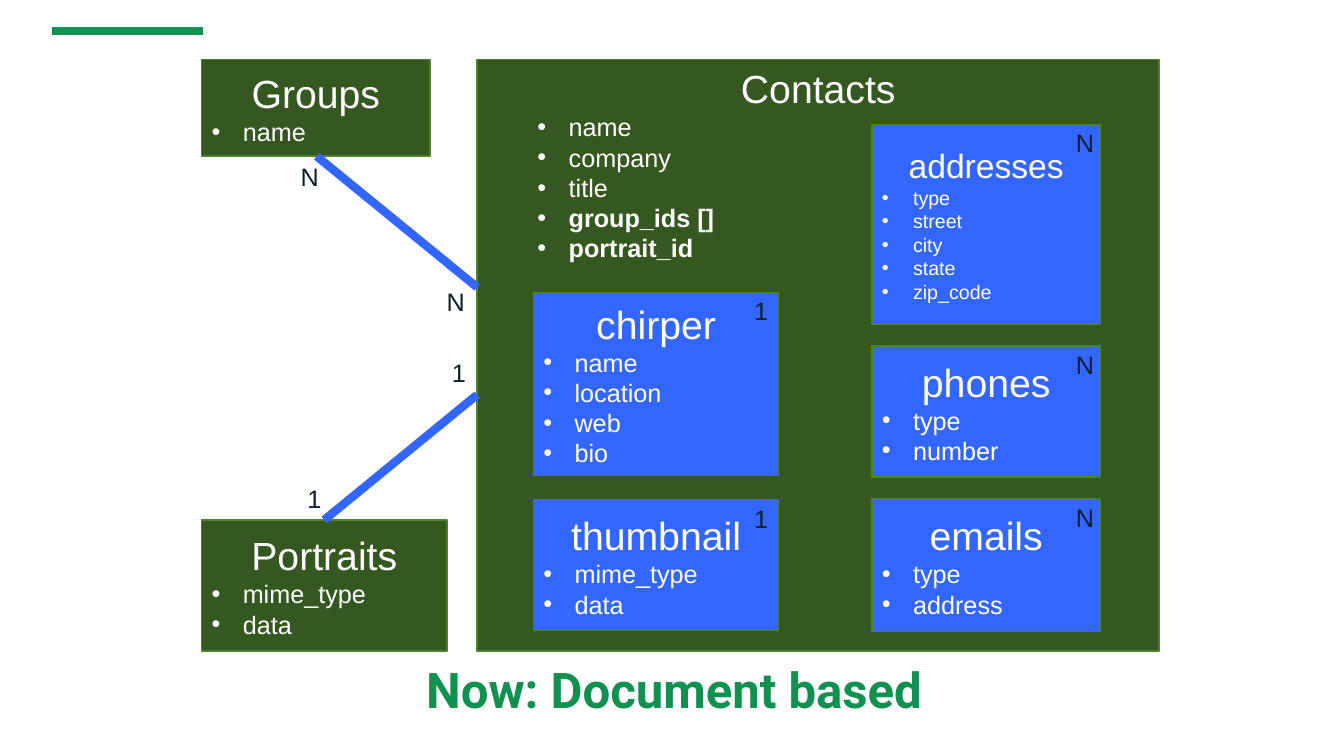
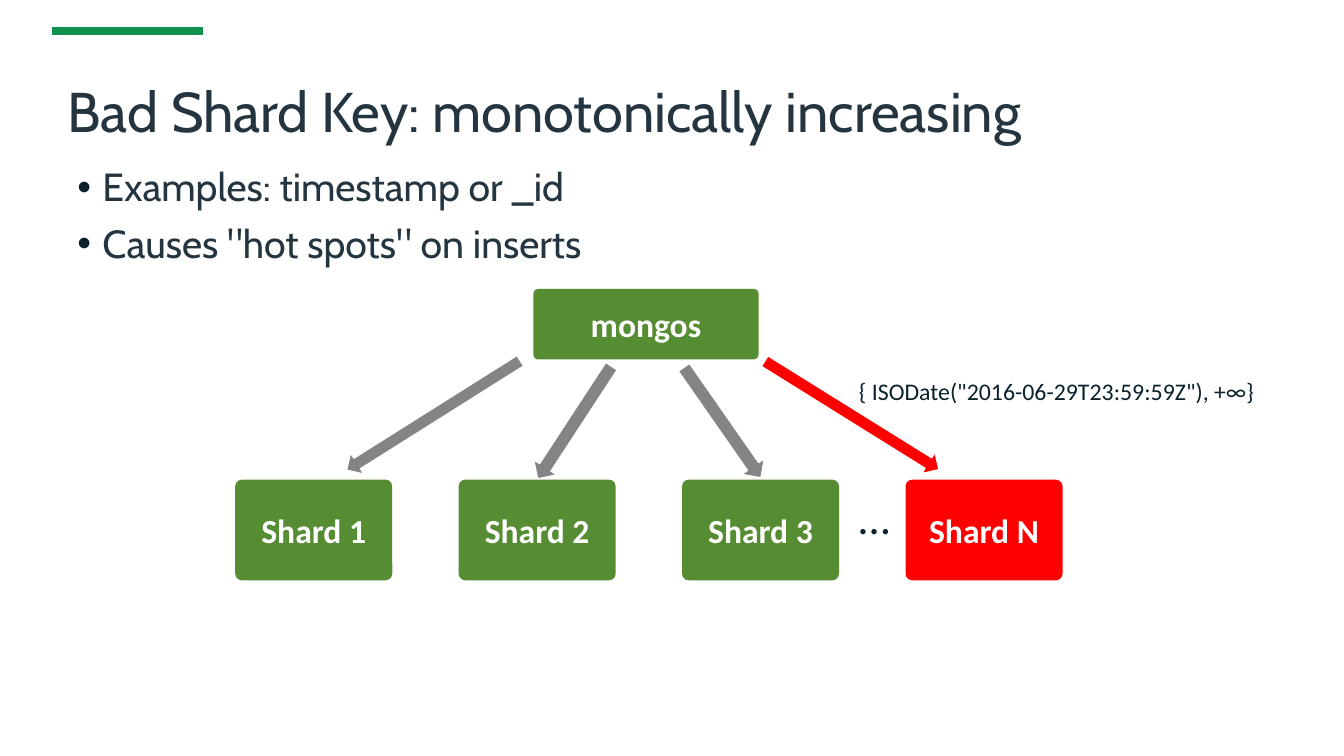
from dataclasses import dataclass

from lxml import etree
from pptx import Presentation
from pptx.dml.color import RGBColor
from pptx.enum.shapes import MSO_CONNECTOR, MSO_SHAPE
from pptx.enum.text import MSO_ANCHOR, MSO_AUTO_SIZE, PP_ALIGN
from pptx.oxml.ns import qn
from pptx.util import Inches, Pt

RECT, ROUNDED, ARROW = MSO_SHAPE.RECTANGLE, MSO_SHAPE.ROUNDED_RECTANGLE, MSO_SHAPE.RIGHT_ARROW
STRAIGHT = MSO_CONNECTOR.STRAIGHT
TOP, MIDDLE = MSO_ANCHOR.TOP, MSO_ANCHOR.MIDDLE
LEFT, CENTER = PP_ALIGN.LEFT, PP_ALIGN.CENTER
NO_FIT = MSO_AUTO_SIZE.NONE

# Square grid: 160 columns by 90 rows
COLUMNS, ROWS = 160, 90
WIDTH, HEIGHT = Inches(13.333), Inches(7.5)
CELL = HEIGHT / ROWS


@dataclass(frozen=True)
class Theme:
    accent: str = "10914F"
    ink: str = "0A202A"
    heading: str = "243540"
    white: str = "FFFFFF"
    collection: str = "345820"
    embedded: str = "3366FF"
    outline: str = "4C812F"
    shard: str = "568D33"
    hot: str = "FF0000"
    flow: str = "848484"
    diagram_font: str = "Arial"
    slide_font: str = "Cabin"
    label_font: str = "Calibri"
    caption_font: str = "Roboto"
    title_size: float = 40
    caption_size: float = 35.1
    entity_size: float = 28
    field_size: float = 18
    body_size: float = 28
    node_size: float = 24
    range_size: float = 17
    ellipsis_size: float = 32


THEME = Theme()
TIGHT = (0.1, 0.05)
ROOMY = (0.13, 0.07)


def grid(*cells):
    return [round(cell * CELL) for cell in cells]


def rgb(value):
    return RGBColor.from_string(value)


# Text
def type_style(size, name, color, bold=False):
    return {"size": Pt(size), "name": name, "bold": bold, "color": color}


def set_frame(frame, anchor=TOP, inset=TIGHT):
    side, edge = (Inches(value) for value in inset)
    settings = {
        "auto_size": NO_FIT, "word_wrap": True, "vertical_anchor": anchor,
        "margin_left": side, "margin_right": side,
        "margin_top": edge, "margin_bottom": edge,
    }
    for name, value in settings.items():
        setattr(frame, name, value)


def set_bullet(paragraph, color, margin, hanging):
    properties = paragraph._p.get_or_add_pPr()
    properties.set("marL", str(Inches(margin)))
    properties.set("indent", str(-Inches(hanging)))
    bullet_color = etree.SubElement(properties, qn("a:buClr"))
    etree.SubElement(bullet_color, qn("a:srgbClr"), val=color)
    etree.SubElement(properties, qn("a:buFont"), typeface="Arial")
    etree.SubElement(properties, qn("a:buChar"), char="•")


def write(frame, text, style, align=LEFT, spacing=1.0, before=0, bullet=None):
    """Fill the empty first paragraph, or add one after the others."""
    paragraph = frame.paragraphs[0]
    if paragraph.runs:
        paragraph = frame.add_paragraph()
    if bullet:
        set_bullet(paragraph, *bullet)
    layout = {"alignment": align, "line_spacing": spacing, "space_before": Pt(before)}
    for name, value in layout.items():
        setattr(paragraph, name, value)
    run = paragraph.add_run()
    run.text = text
    for name, value in style.items():
        if name == "color":
            run.font.color.rgb = rgb(value)
        else:
            setattr(run.font, name, value)


def add_label(slide, place, text, style, inset=TIGHT):
    frame = slide.shapes.add_textbox(*grid(*place)).text_frame
    set_frame(frame, inset=inset)
    write(frame, text, style)


def place_placeholder(placeholder, place, anchor, inset):
    for name, value in zip(("left", "top", "width", "height"), grid(*place)):
        setattr(placeholder, name, value)
    set_frame(placeholder.text_frame, anchor, inset)
    return placeholder.text_frame


# Shapes and lines
def add_block(slide, kind, place, fill, outline=None, weight=1.0):
    block = slide.shapes.add_shape(kind, *grid(*place))
    block.shadow.inherit = False
    block.fill.solid()
    block.fill.fore_color.rgb = rgb(fill)
    if outline:
        block.line.color.rgb = rgb(outline)
        block.line.width = Pt(weight)
    else:
        block.line.fill.background()
    return block


def add_line(slide, start, end, color):
    line = slide.shapes.add_connector(STRAIGHT, *grid(*start, *end))
    line.line.color.rgb = rgb(color)
    line.line.width = Pt(6)
    etree.SubElement(line._element.spPr, qn("a:effectLst"))


def add_slide(deck, layout, title, place, style, anchor, align, inset):
    slide = deck.slides.add_slide(deck.slide_layouts[layout])
    frame = place_placeholder(slide.shapes.title, place, anchor, inset)
    write(frame, title, style, align, spacing=0.9)
    add_line(slide, (6.2, 3.7), (24.2, 3.7), THEME.accent)
    return slide


# Document model
def add_entity(slide, place, title, fields, fill, shrink=0, anchor=MIDDLE,
               margin=0.31, strong=()):
    frame = add_block(slide, RECT, place, fill, THEME.outline).text_frame
    set_frame(frame, anchor)
    write(frame, title,
          type_style(THEME.entity_size - shrink, THEME.diagram_font, THEME.white), CENTER)
    for field in fields:
        style = type_style(THEME.field_size - shrink, THEME.diagram_font,
                           THEME.white, field in strong)
        write(frame, field, style, bullet=(THEME.white, margin, 0.31))


def add_cardinality(slide, left, top, count):
    style = type_style(THEME.field_size, THEME.diagram_font, THEME.ink)
    add_label(slide, (left, top, 4.9, 5), count, style)


def build_document_model(deck):
    slide = add_slide(
        deck, 5, "Now: Document based", (28.4, 76.9, 103.7, 11.2),
        type_style(THEME.caption_size, THEME.caption_font, THEME.accent, True),
        MIDDLE, CENTER, (0, 0))

    # Collections
    keys = ("group_ids []", "portrait_id")
    add_entity(slide, (56.8, 7.1, 81.2, 70.4), "Contacts",
               ("name", "company", "title", *keys), THEME.collection,
               anchor=TOP, margin=0.81, strong=keys)
    add_entity(slide, (24, 7.1, 27.2, 11.5), "Groups", ("name",), THEME.collection)
    add_entity(slide, (24, 61.9, 29.2, 15.6), "Portraits",
               ("mime_type", "data"), THEME.collection)

    # Embedded documents, in two columns
    single, many = (63.5, 29.2, "1"), (103.8, 27.2, "N")
    embedded = (
        (single, 34.8, 21.8, "chirper", ("name", "location", "web", "bio"), 0),
        (single, 59.5, 15.6, "thumbnail", ("mime_type", "data"), 0),
        (many, 14.8, 23.8, "addresses",
         ("type", "street", "city", "state", "zip_code"), 4),
        (many, 41.2, 15.6, "phones", ("type", "number"), 0),
        (many, 59.4, 15.8, "emails", ("type", "address"), 0),
    )
    for (left, width, count), top, height, title, fields, shrink in embedded:
        add_entity(slide, (left, top, width, height), title, fields,
                   THEME.embedded, shrink)
        add_cardinality(slide, left + width - 4.1, top - 0.2, count)

    # References between collections
    add_line(slide, (56.8, 34.2), (37.7, 18.6), THEME.embedded)
    add_line(slide, (38.6, 61.9), (56.8, 47), THEME.embedded)
    for left, top, count in ((34.6, 18.6, "N"), (52, 33.5, "N"),
                             (52.6, 42, "1"), (35.4, 57, "1")):
        add_cardinality(slide, left, top, count)


# Sharding
def add_node(slide, place, name, fill):
    node = add_block(slide, ROUNDED, place, fill)
    node.adjustments[0] = 0.067
    set_frame(node.text_frame, MIDDLE, ROOMY)
    write(node.text_frame, name,
          type_style(THEME.node_size, THEME.label_font, THEME.white, True), CENTER)


def build_shard_key(deck):
    slide = add_slide(
        deck, 1, "Bad Shard Key: monotonically increasing", (8, 7.8, 144, 15),
        type_style(THEME.title_size, THEME.slide_font, THEME.heading),
        TOP, LEFT, (0, 0.18))

    # Key points
    body = place_placeholder(slide.placeholders[1], (8, 19.4, 144, 55.2), TOP, TIGHT)
    body_style = type_style(THEME.body_size, THEME.slide_font, THEME.heading)
    points = ("Examples: timestamp or _id", 'Causes "hot spots" on inserts')
    for index, point in enumerate(points):
        write(body, point, body_style, spacing=0.9, before=10 if index else 0,
              bullet=(THEME.ink, 0.25, 0.25))

    # Router and shards
    add_node(slide, (63.5, 34.4, 26.8, 8.4), "mongos", THEME.shard)
    for index, number in enumerate("123N"):
        add_node(slide, (28 + 26.6 * index, 57.1, 18.7, 12), f"Shard {number}",
                 THEME.hot if number == "N" else THEME.shard)

    # Insert routes
    outer, inner = (24.4, 2.9), (16, 3.2)
    routes = (
        (39.4, 48, outer, 147.8, THEME.flow),
        (60.4, 48.7, inner, 123.2, THEME.flow),
        (78, 48.7, inner, 55.1, THEME.flow),
        (89.2, 48, outer, 31.9, THEME.hot),
    )
    for left, top, size, angle, fill in routes:
        route = add_block(slide, ARROW, (left, top, *size), fill, THEME.white, 0.75)
        route.rotation = angle

    # Key range and remaining shards
    add_label(slide, (100.7, 44, 57, 5.4), '{ ISODate("2016-06-29T23:59:59Z"), +∞}',
              type_style(THEME.range_size, THEME.label_font, THEME.ink), ROOMY)
    add_label(slide, (100.7, 57.5, 7.1, 8), "…",
              type_style(THEME.ellipsis_size, THEME.label_font, THEME.ink), ROOMY)


def main():
    deck = Presentation()
    deck.slide_width, deck.slide_height = WIDTH, HEIGHT
    build_document_model(deck)
    build_shard_key(deck)
    deck.save("out.pptx")


if __name__ == "__main__":
    main()
